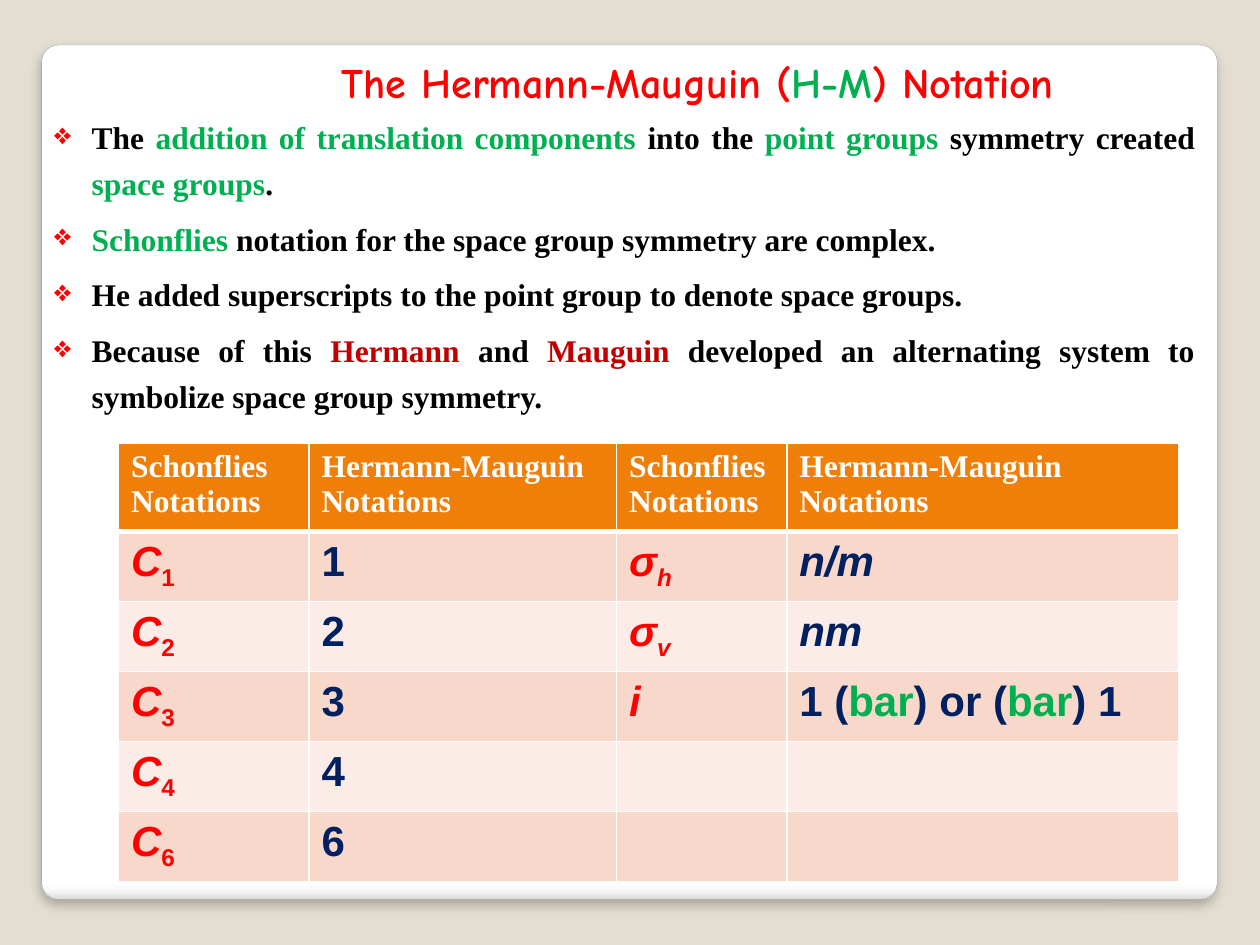
from lxml import etree
from pptx import Presentation
from pptx import util as u
from pptx.dml.color import RGBColor
from pptx.enum import shapes, text
from pptx.oxml import ns

COLORS = {
    "backdrop": "E3DED1", "edge": "A4A4A4", "white": "FFFFFF", "black": "000000",
    "red": "FF0000", "green": "00B050", "crimson": "C00000", "navy": "002060",
    "header": "F07F09", "band_dark": "F9D8CC", "band_light": "FCECE7",
}
PANEL_STOPS = [(0, "FFFFFF"), (98, "FFFFFF"), (99, "F7F7F7"), (100, "DADADA")]

TITLE = [("The Hermann-Mauguin (", "red"), ("H-M", "green"), (") Notation", "red")]
BULLETS = [
    [("The ", "black"), ("addition of translation components ", "green"),
     ("into the ", "black"), ("point groups ", "green"),
     ("symmetry created ", "black"), ("space groups", "green"), (".", "black")],
    [("Schonflies", "green"),
     (" notation for the space group symmetry are complex.", "black")],
    [("He added superscripts to the point group to denote space groups.", "black")],
    [("Because of this ", "black"), ("Hermann", "crimson"), (" and ", "black"),
     ("Mauguin", "crimson"),
     (" developed an alternating system to symbolize space group symmetry.", "black")],
]
HEADERS = ["Schonflies Notations", "Hermann-Mauguin Notations"] * 2
ROTATIONS = ["1", "2", "3", "4", "6"]
# Symbol, subscript, and the runs of the matching Hermann-Mauguin notation
OTHERS = [
    ("σ", "h", [("n/m", "navy")]),
    ("σ", "v", [("nm", "navy")]),
    ("i", "", [("1 (", "navy"), ("bar", "green"), (") or (", "navy"),
               ("bar", "green"), (") 1", "navy")]),
]


def rgb(name):
    return RGBColor.from_string(COLORS[name])


def add_xml(parent, xml):
    """Append a DrawingML fragment to an element."""
    tag, rest = xml[1:].split(maxsplit=1)
    parent.append(etree.fromstring(f'<{tag} {ns.nsdecls("a")} {rest}'))


def add_text(p, content, color="black", font="Arial", size=24, italic=False, sub=False):
    r = p.add_run()
    r.text = content
    r.font.name, r.font.size = font, u.Pt(size)
    r.font.bold, r.font.italic = True, italic
    r.font.color.rgb = rgb(color)
    if sub:
        r._r.get_or_add_rPr().set("baseline", "-25000")


def add_runs(p, runs, **fmt):
    for content, color in runs:
        add_text(p, content, color=color, **fmt)


def build_panel(s, left, top, width, height):
    sp = s.shapes.add_shape(shapes.MSO_SHAPE.ROUNDED_RECTANGLE, left, top, width, height)
    sp.adjustments[0] = 0.02
    sp.line.color.rgb = rgb("edge")
    sp.line.width = u.Pt(0.16)
    # Fill: white with a thin grey fade at the bottom
    sp.fill.gradient()
    grad = sp._element.spPr.find(ns.qn("a:gradFill"))
    stops = grad.find(ns.qn("a:gsLst"))
    for gs in list(stops):
        stops.remove(gs)
    for pos, color in PANEL_STOPS:
        add_xml(stops, f'<a:gs pos="{pos * 1000}"><a:srgbClr val="{color}"/></a:gs>')
    grad.find(ns.qn("a:lin")).set("ang", "5400000")
    # Soft shadow below
    add_xml(sp._element.spPr,
            f'<a:effectLst ><a:outerShdw blurRad="{u.Pt(6)}" dist="{u.Pt(4)}" dir="5400000" '
            'algn="t" rotWithShape="0"><a:srgbClr val="000000"><a:alpha val="25000"/>'
            '</a:srgbClr></a:outerShdw></a:effectLst>')
    # Keep the panel behind the title
    s.shapes.title.element.addprevious(sp.element)


def build_title(s, left, top, width, height):
    sp = s.shapes.title
    sp.left, sp.top, sp.width, sp.height = left, top, width, height
    tf = sp.text_frame
    tf.word_wrap = False
    tf.auto_size = text.MSO_AUTO_SIZE.SHAPE_TO_FIT_TEXT
    tf.vertical_anchor = text.MSO_ANCHOR.TOP
    p = tf.paragraphs[0]
    p.alignment = text.PP_ALIGN.CENTER
    p.line_spacing = 1.5
    p.space_before = u.Pt(0)
    add_runs(p, TITLE, font="Comic Neue")


def build_bullets(s, left, top, width, height):
    tf = s.shapes.add_textbox(left, top, width, height).text_frame
    tf.word_wrap = True
    for i, runs in enumerate(BULLETS):
        p = tf.add_paragraph() if i else tf.paragraphs[0]
        pPr = p._p.get_or_add_pPr()
        pPr.set("marL", str(u.Cm(0.76)))
        pPr.set("indent", str(-u.Cm(0.76)))
        add_xml(pPr, f'<a:buClr ><a:srgbClr val="{COLORS["red"]}"/></a:buClr>')
        add_xml(pPr, '<a:buSzPct val="95000"/>')
        add_xml(pPr, '<a:buChar char="❖"/>')
        p.alignment = text.PP_ALIGN.JUSTIFY
        p.line_spacing = 1.2
        p.space_before = u.Pt(3 if i else 0)
        p.space_after = u.Pt(3)
        add_runs(p, runs, font="Times New Roman", size=18)


def style_cell(cell, fill, bottom=1):
    tcPr = cell._tc.get_or_add_tcPr()
    for side, width in (("L", 1), ("R", 1), ("T", 1), ("B", bottom)):
        add_xml(tcPr, f'<a:ln{side} w="{u.Pt(width)}"><a:solidFill>'
                      f'<a:srgbClr val="{COLORS["white"]}"/></a:solidFill></a:ln{side}>')
    cell.fill.solid()
    cell.fill.fore_color.rgb = rgb(fill)


def add_symbol(cell, symbol, sub, sub_italic):
    p = cell.text_frame.paragraphs[0]
    add_text(p, symbol, color="red", italic=True)
    if sub:
        add_text(p, sub, color="red", italic=sub_italic, sub=True)


def build_table(s, left, top, col_widths, header_height, row_height):
    n_rows = len(ROTATIONS) + 1
    height = header_height + row_height * len(ROTATIONS)
    table = s.shapes.add_table(n_rows, len(col_widths), left, top,
                               sum(col_widths), height).table
    for col, width in zip(table.columns, col_widths):
        col.width = width
    for i, row in enumerate(table.rows):
        row.height = row_height if i else header_height
        fill = ("band_dark" if i % 2 else "band_light") if i else "header"
        for cell in row.cells:
            style_cell(cell, fill, bottom=1 if i else 3)
    # Header row
    for j, label in enumerate(HEADERS):
        add_text(table.cell(0, j).text_frame.paragraphs[0], label,
                 color="white", font="Times New Roman", size=18)
    # Rotation axes
    for i, order in enumerate(ROTATIONS, start=1):
        add_symbol(table.cell(i, 0), "C", order, sub_italic=False)
        add_text(table.cell(i, 1).text_frame.paragraphs[0], order, color="navy")
    # Mirror planes and inversion
    for i, (symbol, sub, runs) in enumerate(OTHERS, start=1):
        add_symbol(table.cell(i, 2), symbol, sub, sub_italic=True)
        add_runs(table.cell(i, 3).text_frame.paragraphs[0], runs, italic=len(runs) == 1)


def main():
    prs = Presentation()
    prs.slide_width, prs.slide_height = u.Cm(25.4), u.Cm(19.05)
    s = prs.slides.add_slide(prs.slide_layouts[5])
    s.background.fill.solid()
    s.background.fill.fore_color.rgb = rgb("backdrop")
    build_panel(s, u.Cm(0.84), u.Cm(0.91), u.Cm(23.7), u.Cm(17.22))
    build_title(s, u.Cm(5.72), u.Cm(0.51), u.Cm(16.69), u.Cm(1.63))
    build_bullets(s, u.Cm(0.84), u.Cm(2.11), u.Cm(23.5), u.Cm(9.53))
    build_table(s, u.Cm(2.39), u.Cm(8.94), [u.Cm(w) for w in (3.84, 6.2, 3.43, 7.9)],
                header_height=u.Cm(1.76), row_height=u.Cm(1.41))
    prs.save("out.pptx")


if __name__ == "__main__":
    main()
